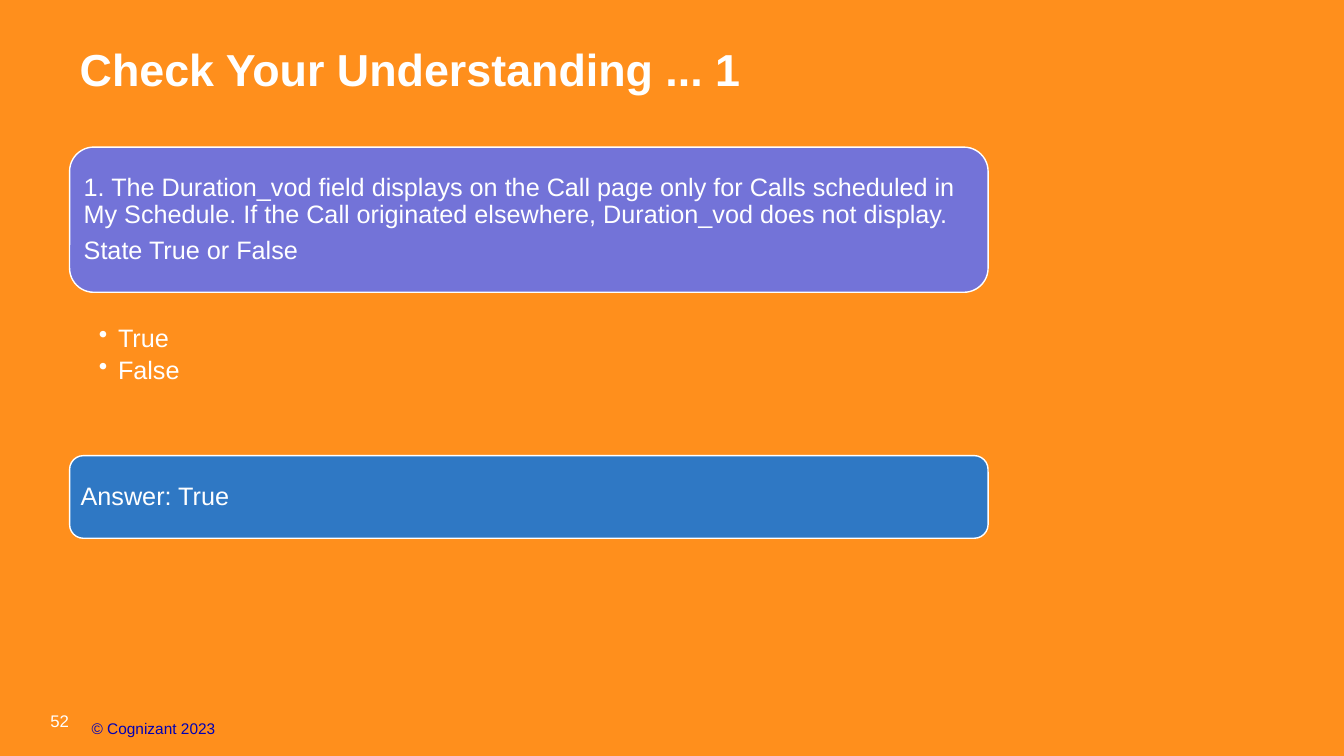
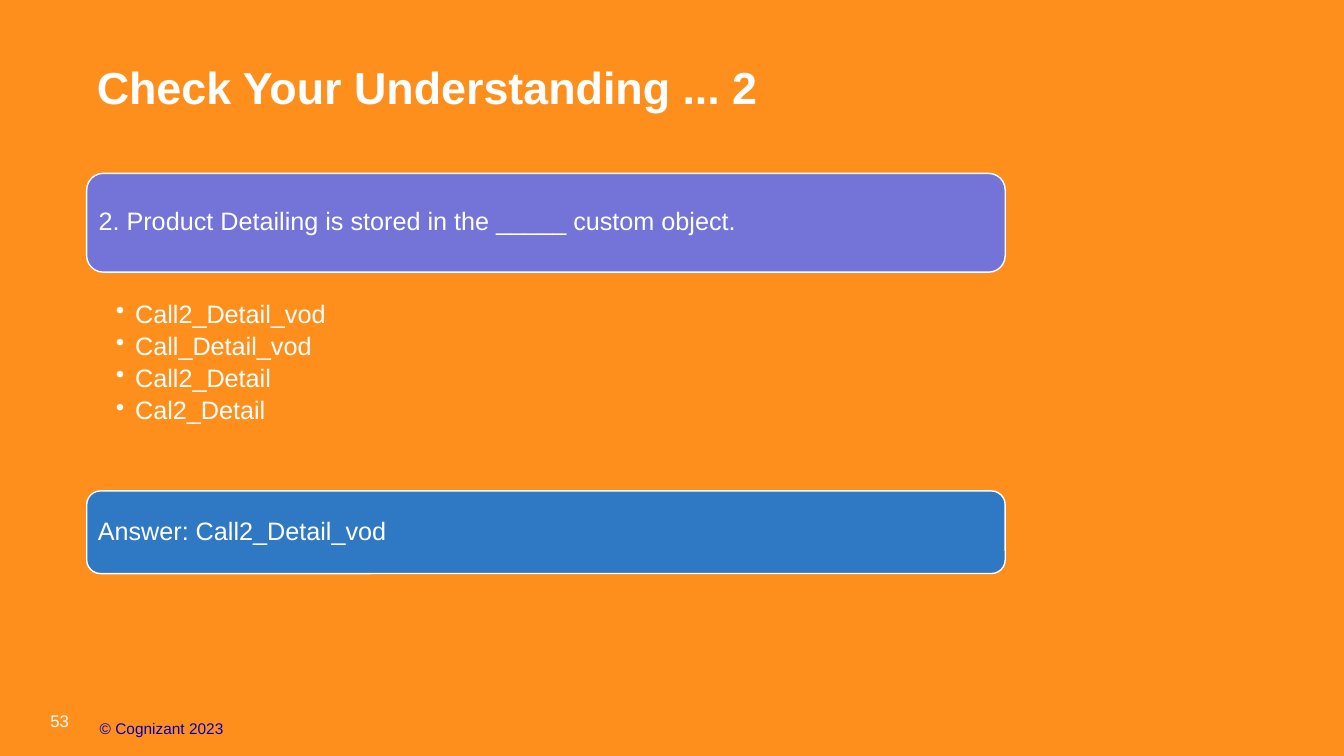
"""Build two quiz slides, each with a question, its options and the answer."""
from lxml.etree import SubElement
from pptx import Presentation
from pptx.dml.color import RGBColor
from pptx.enum.shapes import MSO_SHAPE
from pptx.enum.text import MSO_ANCHOR, PP_ALIGN
from pptx.oxml.ns import qn
from pptx.util import Inches, Pt

ORANGE = RGBColor(0xFF, 0x8F, 0x1C)
VIOLET = RGBColor(0x73, 0x73, 0xD8)
BLUE = RGBColor(0x2F, 0x78, 0xC4)
NAVY = RGBColor(0x00, 0x00, 0xB6)
WHITE = RGBColor(0xFF, 0xFF, 0xFF)
FONT = "Arial"
CONTENT_WIDTH = 9.11
ANSWER_HEIGHT = 0.82

QUIZZES = [
    {
        "number": 52,
        "title": "Check Your Understanding ... 1",
        "left": 0.69,
        "title_top": 0.08,
        "question": [
            "1. The Duration_vod field displays on the Call page only for Calls scheduled in "
            "My Schedule. If the Call originated elsewhere, Duration_vod does not display.",
            "State True or False",
        ],
        "question_top": 1.46,
        "question_height": 1.44,
        "options": ["True", "False"],
        "options_top": 3.2,
        "options_height": 1.18,
        "answer": "Answer: True",
        "answer_top": 4.52,
        "copyright_left": 0.81,
    },
    {
        "number": 53,
        "title": "Check Your Understanding ... 2",
        "left": 0.86,
        "title_top": 0.25,
        "question": ["2. Product Detailing is stored in the _____ custom object."],
        "question_top": 1.72,
        "question_height": 0.98,
        "options": ["Call2_Detail_vod", "Call_Detail_vod", "Call2_Detail", "Cal2_Detail"],
        "options_top": 2.96,
        "options_height": 1.25,
        "answer": "Answer: Call2_Detail_vod",
        "answer_top": 4.87,
        "copyright_left": 0.89,
    },
]


def write(frame, lines, size, color=WHITE, spacing=None, after=0, bullet=False, bold=False):
    """Write one left-aligned paragraph per line into a text frame."""
    for index, line in enumerate(lines):
        para = frame.paragraphs[0] if index == 0 else frame.add_paragraph()
        if bullet:
            properties = para._p.get_or_add_pPr()
            properties.set("marL", str(Inches(0.19)))
            properties.set("indent", str(-Inches(0.19)))
            SubElement(properties, qn("a:buChar")).set("char", "•")
            para.level = 1
        para.alignment = PP_ALIGN.LEFT
        para.line_spacing = spacing
        para.space_after = Pt(after)
        span = para.add_run()
        span.text = line
        span.font.name = FONT
        span.font.size = Pt(size)
        span.font.bold = bold
        span.font.color.rgb = color


def set_frame(frame, anchor, left, top, right, bottom, wrap=True):
    """Set the anchor, wrapping and margins of a text frame."""
    frame.word_wrap = wrap
    frame.vertical_anchor = anchor
    frame.margin_left, frame.margin_top = Inches(left), Inches(top)
    frame.margin_right, frame.margin_bottom = Inches(right), Inches(bottom)


deck = Presentation()
deck.slide_width = Inches(13.33)
deck.slide_height = Inches(7.5)
background = deck.slide_master.background.fill
background.solid()
background.fore_color.rgb = ORANGE

for quiz in QUIZZES:
    page = deck.slides.add_slide(deck.slide_layouts[5])
    left, width = Inches(quiz["left"]), Inches(CONTENT_WIDTH)

    title = page.shapes.title
    title.left, title.top = left, Inches(quiz["title_top"])
    title.width, title.height = Inches(10.26), Inches(1.21)
    set_frame(title.text_frame, MSO_ANCHOR.MIDDLE, 0.1, 0.05, 0.1, 0.05)
    write(title.text_frame, [quiz["title"]], 32, bold=True)

    panels = [
        (quiz["question"], quiz["question_top"], quiz["question_height"], VIOLET),
        ([quiz["answer"]], quiz["answer_top"], ANSWER_HEIGHT, BLUE),
    ]
    for lines, top, height, color in panels:
        panel = page.shapes.add_shape(
            MSO_SHAPE.ROUNDED_RECTANGLE, left, Inches(top), width, Inches(height))
        panel.shadow.inherit = False
        panel.fill.solid()
        panel.fill.fore_color.rgb = color
        panel.line.color.rgb = WHITE
        panel.line.width = Pt(1)
        set_frame(panel.text_frame, MSO_ANCHOR.MIDDLE, 0.07, 0.07, 0.07, 0.07)
        write(panel.text_frame, lines, 18, spacing=0.9, after=6.3)

    options = page.shapes.add_textbox(
        left, Inches(quiz["options_top"]), width, Inches(quiz["options_height"]))
    set_frame(options.text_frame, MSO_ANCHOR.TOP, 0.29, 0.03, 0.14, 0.03)
    write(options.text_frame, quiz["options"], 18, spacing=0.9, after=3.6, bullet=True)

    number = page.shapes.add_textbox(Inches(0.5), Inches(6.92), Inches(0.39), Inches(0.33))
    set_frame(number.text_frame, MSO_ANCHOR.BOTTOM, 0, 0, 0, 0, wrap=False)
    write(number.text_frame, [str(quiz["number"])], 12)

    notice = page.shapes.add_textbox(
        Inches(quiz["copyright_left"]), Inches(7.08), Inches(2), Inches(0.25))
    set_frame(notice.text_frame, MSO_ANCHOR.TOP, 0.1, 0.05, 0.1, 0.05)
    write(notice.text_frame, ["© Cognizant 2023"], 11, NAVY)

deck.save("out.pptx")
